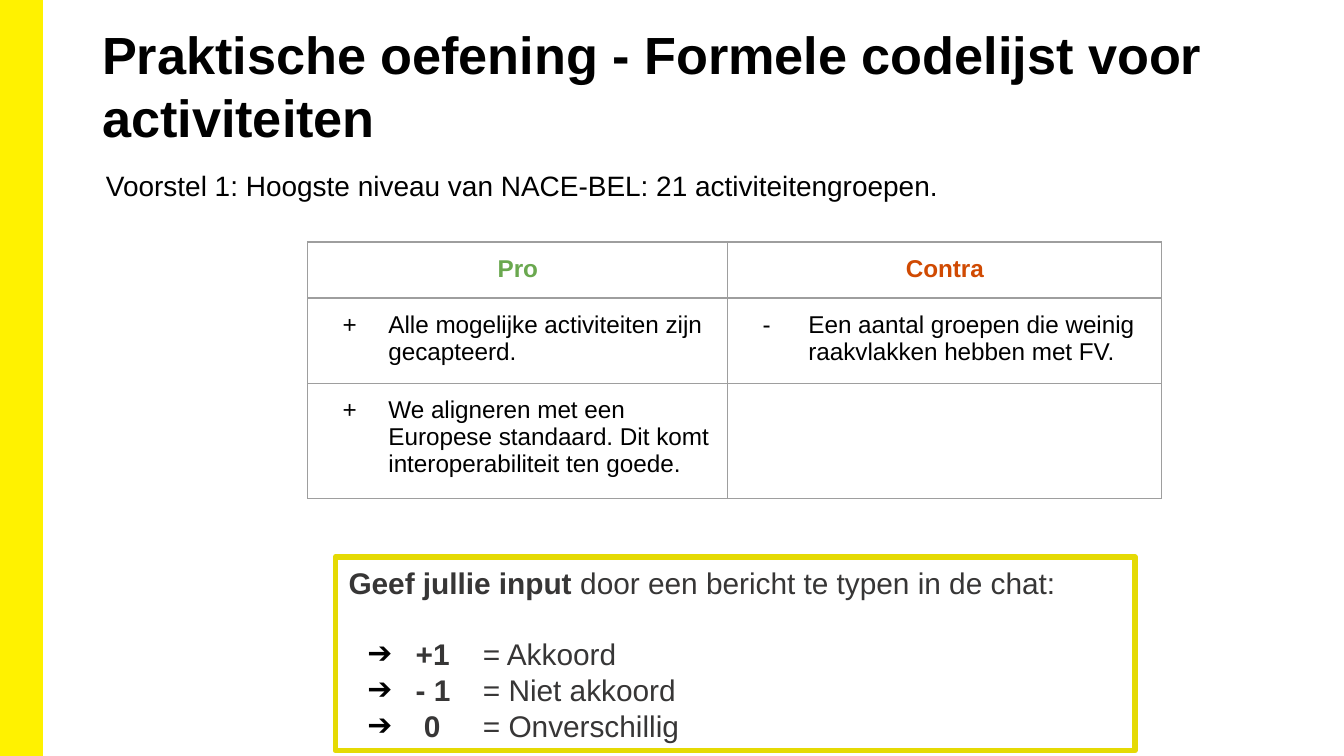
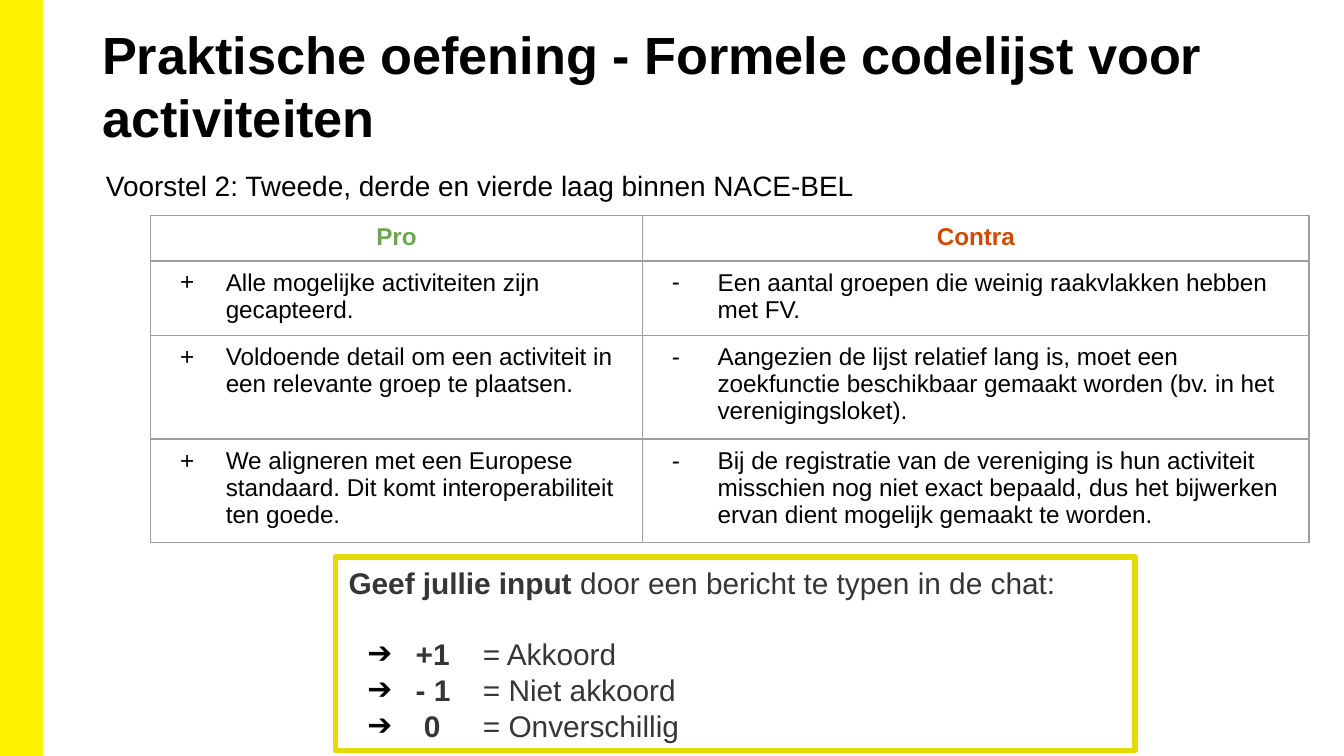
import lxml.etree
import pptx
import pptx.dml.color
import pptx.enum.shapes
import pptx.enum.text
import pptx.oxml.ns
import pptx.util

PX = 4572
SLIDE_WIDTH, SLIDE_HEIGHT = 2000, 1125
FONT = "Arial"
YELLOW = pptx.dml.color.RGBColor(0xFF, 0xF2, 0x00)
GOLD = pptx.dml.color.RGBColor(0xE5, 0xDA, 0x04)
BLACK = pptx.dml.color.RGBColor(0x00, 0x00, 0x00)
DARK = pptx.dml.color.RGBColor(0x37, 0x36, 0x36)
GREEN = pptx.dml.color.RGBColor(0x6A, 0xA8, 0x4F)
ORANGE = pptx.dml.color.RGBColor(0xD0, 0x4A, 0x02)
GREY = pptx.dml.color.RGBColor(0x9E, 0x9E, 0x9E)

TITLE = "Praktische oefening - Formele codelijst voor activiteiten"
COMPLETE = "Alle mogelijke activiteiten zijn gecapteerd."
ALIGNED = "We aligneren met een Europese standaard. Dit komt interoperabiliteit ten goede."
FEW_LINKS = "Een aantal groepen die weinig raakvlakken hebben met FV."
PROPOSALS = [
    {
        "subtitle": "Voorstel 1: Hoogste niveau van NACE-BEL: 21 activiteitengroepen.",
        "left": 458, "top": 360, "margin": 20,
        "columns": [625, 646], "rows": [83, 127, 171],
        "arguments": [(COMPLETE, FEW_LINKS), (ALIGNED, "")],
    },
    {
        "subtitle": "Voorstel 2: Tweede, derde en vierde laag binnen NACE-BEL",
        "left": 224, "top": 321, "margin": 12,
        "columns": [732, 992], "rows": [67, 110, 153, 154],
        "arguments": [
            (COMPLETE, FEW_LINKS),
            ("Voldoende detail om een activiteit in een relevante groep te plaatsen.",
             "Aangezien de lijst relatief lang is, moet een zoekfunctie beschikbaar "
             "gemaakt worden (bv. in het verenigingsloket)."),
            (ALIGNED,
             "Bij de registratie van de vereniging is hun activiteit misschien nog niet "
             "exact bepaald, dus het bijwerken ervan dient mogelijk gemaakt te worden."),
        ],
    },
]
SIDES = [("Pro", GREEN, "+"), ("Contra", ORANGE, "-")]
VOTES = [("+1", " \t= Akkoord"), ("- 1\t", "= Niet akkoord"), (" 0", " \t= Onverschillig")]


def add_run(paragraph, text, size, color, bold=False):
    run = paragraph.add_run()
    run.text = text
    style = {"name": FONT, "size": pptx.util.Pt(size), "bold": bold}
    for name, value in style.items():
        setattr(run.font, name, value)
    run.font.color.rgb = color


def set_bullet(paragraph, character, hanging):
    properties = paragraph._p.get_or_add_pPr()
    properties.set("marL", str(100 * PX))
    properties.set("indent", str(-hanging * PX))
    color = lxml.etree.SubElement(properties, pptx.oxml.ns.qn("a:buClr"))
    lxml.etree.SubElement(color, pptx.oxml.ns.qn("a:srgbClr"), val=str(BLACK))
    lxml.etree.SubElement(properties, pptx.oxml.ns.qn("a:buFont"), typeface=FONT)
    lxml.etree.SubElement(properties, pptx.oxml.ns.qn("a:buChar"), char=character)


presentation = pptx.Presentation()
presentation.slide_width = SLIDE_WIDTH * PX
presentation.slide_height = SLIDE_HEIGHT * PX
RECTANGLE = pptx.enum.shapes.MSO_SHAPE.RECTANGLE

for proposal in PROPOSALS:
    slide = presentation.slides.add_slide(presentation.slide_layouts[6])

    band = slide.shapes.add_shape(RECTANGLE, 0, 0, 62 * PX, SLIDE_HEIGHT * PX)
    band.shadow.inherit = False
    band.fill.solid()
    band.fill.fore_color.rgb = YELLOW
    band.line.color.rgb = YELLOW
    band.line.width = pptx.util.Pt(1)

    for text, top, width, height, inset_x, inset_y, size, bold in [
        (TITLE, 26, 1725, 296, 14, 7, 28, True),
        (proposal["subtitle"], 231, 1768, 90, 20, 20, 15, False),
    ]:
        box = slide.shapes.add_textbox(138 * PX, top * PX, width * PX, height * PX)
        frame_format = {
            "word_wrap": True,
            "margin_left": inset_x * PX, "margin_right": inset_x * PX,
            "margin_top": inset_y * PX, "margin_bottom": inset_y * PX,
        }
        for name, value in frame_format.items():
            setattr(box.text_frame, name, value)
        add_run(box.text_frame.paragraphs[0], text, size, BLACK, bold)
    box.text_frame.auto_size = pptx.enum.text.MSO_AUTO_SIZE.SHAPE_TO_FIT_TEXT

    vote_box = slide.shapes.add_shape(RECTANGLE, 499 * PX, 829 * PX, 1190 * PX, 288 * PX)
    vote_box.shadow.inherit = False
    vote_box.fill.background()
    vote_box.line.color.rgb = GOLD
    vote_box.line.width = pptx.util.Pt(3)
    vote_format = {
        "word_wrap": True,
        "vertical_anchor": pptx.enum.text.MSO_ANCHOR.MIDDLE,
        "margin_left": 20 * PX, "margin_right": 20 * PX,
        "margin_top": 10 * PX, "margin_bottom": 10 * PX,
    }
    for name, value in vote_format.items():
        setattr(vote_box.text_frame, name, value)
    paragraph = vote_box.text_frame.paragraphs[0]
    paragraph.alignment = pptx.enum.text.PP_ALIGN.LEFT
    add_run(paragraph, "Geef jullie input ", 16, DARK, True)
    add_run(paragraph, "door een bericht te typen in de chat:", 16, DARK)
    for index, (vote, meaning) in enumerate(VOTES):
        paragraph = vote_box.text_frame.add_paragraph()
        set_bullet(paragraph, "➔", 72)
        paragraph.alignment = pptx.enum.text.PP_ALIGN.LEFT
        if index == 0:
            paragraph.space_before = pptx.util.Pt(19)
        add_run(paragraph, vote, 16, DARK, True)
        add_run(paragraph, meaning, 16, DARK)

    columns, rows = proposal["columns"], proposal["rows"]
    table = slide.shapes.add_table(
        len(rows), len(columns), proposal["left"] * PX, proposal["top"] * PX,
        sum(columns) * PX, sum(rows) * PX).table
    table.first_row = False
    table.horz_banding = False
    for column, width in zip(table.columns, columns):
        column.width = width * PX
    for row, height in zip(table.rows, rows):
        row.height = height * PX

    for cell in table.iter_cells():
        for side in ["left", "right", "top", "bottom"]:
            setattr(cell, f"margin_{side}", proposal["margin"] * PX)
        properties = cell._tc.get_or_add_tcPr()
        for edge in ["lnL", "lnR", "lnT", "lnB"]:
            border = lxml.etree.SubElement(
                properties, pptx.oxml.ns.qn(f"a:{edge}"), w=str(pptx.util.Pt(0.75)))
            fill = lxml.etree.SubElement(border, pptx.oxml.ns.qn("a:solidFill"))
            lxml.etree.SubElement(fill, pptx.oxml.ns.qn("a:srgbClr"), val=str(GREY))
        cell.fill.background()

    for column_index, (heading, color, bullet) in enumerate(SIDES):
        paragraph = table.cell(0, column_index).text_frame.paragraphs[0]
        paragraph.alignment = pptx.enum.text.PP_ALIGN.CENTER
        add_run(paragraph, heading, 13, color, True)
        for row_index, arguments in enumerate(proposal["arguments"], start=1):
            if arguments[column_index]:
                paragraph = table.cell(row_index, column_index).text_frame.paragraphs[0]
                set_bullet(paragraph, bullet, 68)
                add_run(paragraph, arguments[column_index], 13, BLACK)

presentation.save("out.pptx")
